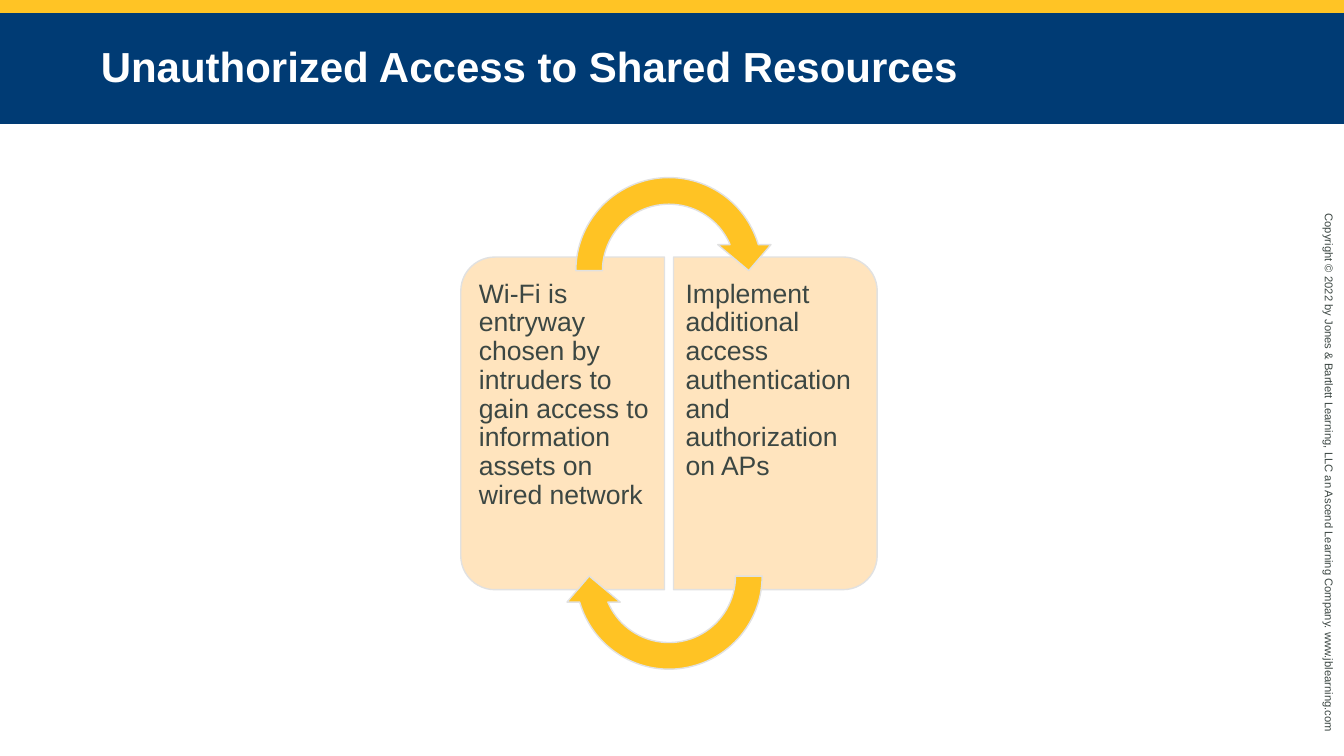
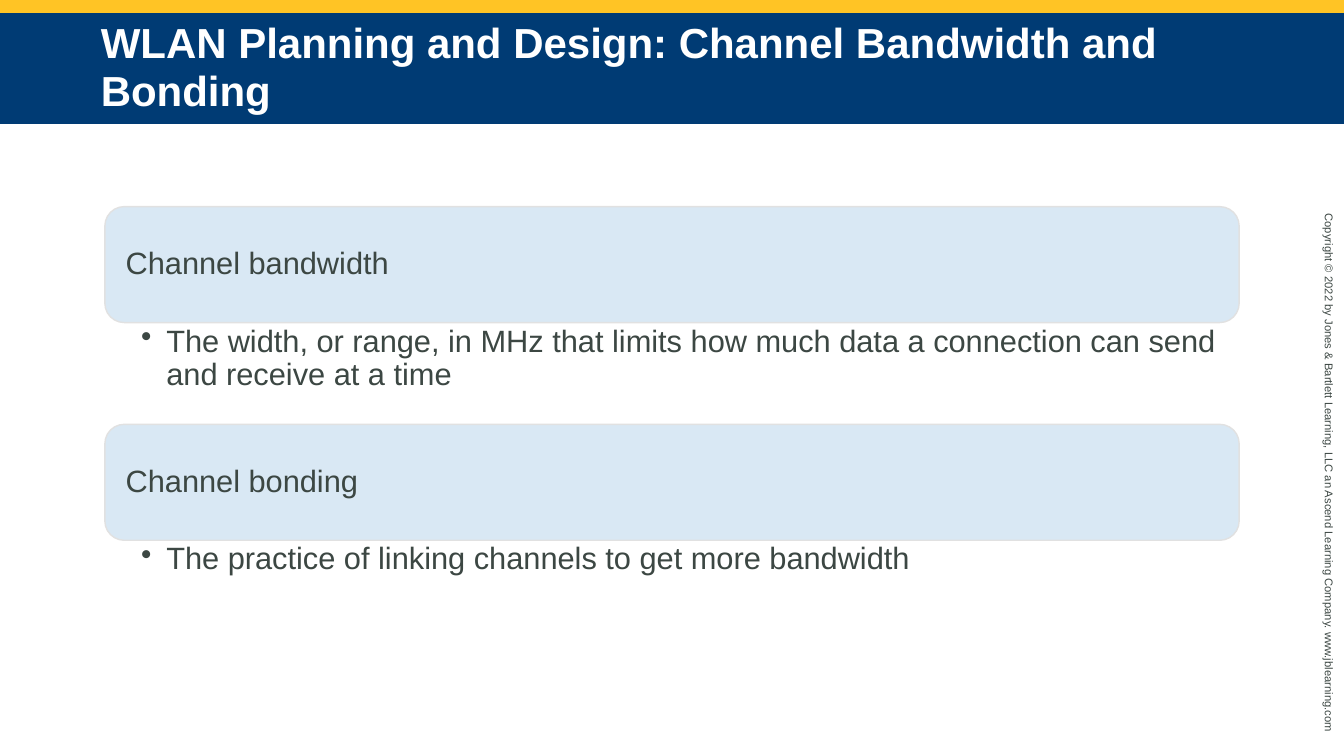
from dataclasses import dataclass

from lxml import etree
from pptx import Presentation
from pptx.dml.color import RGBColor
from pptx.enum.shapes import MSO_SHAPE
from pptx.enum.text import MSO_ANCHOR, PP_ALIGN
from pptx.oxml.ns import qn
from pptx.shapes.autoshape import Shape
from pptx.slide import Slide
from pptx.util import Inches, Pt

# Shared style
FONT = "Arial"
INK, WHITE, NAVY = "3C4743", "FFFFFF", "003B74"
BAND, ARROW = "FFC425", "FFC324"
PEACH, PALE_BLUE, EDGE = "FFE4BE", "D9E8F4", "E1E1E1"
SLIDE_W, SLIDE_H = 13.33, 7.5
COPYRIGHT = ("Copyright © 2022 by Jones & Bartlett Learning, LLC an Ascend "
             "Learning Company. www.jblearning.com")


@dataclass(frozen=True)
class Box:
    left: float
    top: float
    width: float
    height: float

    def lengths(self) -> tuple:
        return tuple(Inches(v) for v in (self.left, self.top, self.width, self.height))


@dataclass(frozen=True)
class TextStyle:
    size: float
    color: str = INK
    bold: bool = False
    spacing: float = 0.9
    insets: tuple = (0.1, 0.05, 0.1, 0.05)  # left, top, right, bottom
    anchor: MSO_ANCHOR = MSO_ANCHOR.TOP
    bullet: bool = False


@dataclass(frozen=True)
class Panel:
    text: str
    left: float
    text_left: float
    rotation: int
    insets: tuple


@dataclass(frozen=True)
class Topic:
    name: str
    detail: str


TITLE = TextStyle(30, WHITE, True, 0.95, (1, 0.05, 1, 0.05), MSO_ANCHOR.MIDDLE)
FOOTER = TextStyle(8, spacing=1)
CARD = TextStyle(22, insets=(0.15, 0.15, 0.15, 0.15), anchor=MSO_ANCHOR.MIDDLE)
DETAIL = TextStyle(22, insets=(0.36, 0.03, 0.17, 0.03), bullet=True)


def rgb(color: str) -> RGBColor:
    return RGBColor.from_string(color)


def add_bullet(p, indent: float) -> None:
    pPr = p._p.get_or_add_pPr()
    pPr.set("marL", str(Inches(indent)))
    pPr.set("indent", str(-Inches(indent)))
    etree.SubElement(pPr, qn("a:buChar")).set("char", "•")


def write(sp: Shape, text: str, style: TextStyle) -> None:
    tf = sp.text_frame
    tf.word_wrap = True
    tf.vertical_anchor = style.anchor
    tf.margin_left, tf.margin_top, tf.margin_right, tf.margin_bottom = map(Inches, style.insets)
    p = tf.paragraphs[0]
    p.text = text
    p.alignment = PP_ALIGN.LEFT
    if style.bullet:
        add_bullet(p, 0.25)
    p.line_spacing = style.spacing
    font = p.runs[0].font
    font.name, font.size, font.bold = FONT, Pt(style.size), style.bold
    font.color.rgb = rgb(style.color)


def add_shape(s: Slide, kind: MSO_SHAPE, box: Box, fill: str, line: str = "",
              rotation: float = 0) -> Shape:
    sp = s.shapes.add_shape(kind, *box.lengths())
    sp.shadow.inherit = False
    sp.rotation = rotation
    sp.fill.solid()
    sp.fill.fore_color.rgb = rgb(fill)
    if line:
        sp.line.color.rgb = rgb(line)
        sp.line.width = Pt(1)
    else:
        sp.line.fill.background()
    return sp


def add_text(s: Slide, box: Box, text: str, style: TextStyle) -> Shape:
    sp = s.shapes.add_textbox(*box.lengths())
    write(sp, text, style)
    return sp


def add_slide(prs, title: str) -> Slide:
    """Add a slide with the top band, copyright line and title bar."""
    s = prs.slides.add_slide(prs.slide_layouts[6])
    add_shape(s, MSO_SHAPE.RECTANGLE, Box(0, 0, SLIDE_W, 0.13), BAND)
    add_text(s, Box(10.44, 4.64, 5.48, 0.24), COPYRIGHT, FOOTER).rotation = 90
    bar = add_shape(s, MSO_SHAPE.RECTANGLE, Box(0, 0.13, SLIDE_W, 1.1), NAVY)
    write(bar, title, TITLE)
    return s


def add_cycle(s: Slide, panels: list[Panel]) -> None:
    """Two facing panels joined by a pair of circular arrows."""
    width, height, mid_y = 2.02, 3.3, 4.2
    for panel in panels:
        # Quarter-turned shape: its box is wide, centred on the panel
        box = Box(panel.left + (width - height) / 2, mid_y - width / 2, height, width)
        sp = add_shape(s, MSO_SHAPE.ROUND_2_SAME_RECTANGLE, box, PEACH, EDGE, panel.rotation)
        sp.adjustments[0], sp.adjustments[1] = 0.167, 0
        add_text(s, Box(panel.text_left, 2.65, 1.92, 3.11), panel.text,
                 TextStyle(19, insets=panel.insets))

    size = 2.11
    for top, rotation in ((1.63, 0), (4.66, 180)):
        sp = add_shape(s, MSO_SHAPE.CIRCULAR_ARROW, Box(5.58, top, size, size),
                       ARROW, EDGE, rotation)
        for i, value in enumerate((0.125, 11.42, 204.58, 108, 0.125)):
            sp.adjustments[i] = value


def add_topics(s: Slide, topics: list[Topic]) -> None:
    """Stacked cards, each followed by its bulleted detail."""
    left, top, width, card_h, detail_h = 1.04, 2.05, 11.25, 1.15, 1.01
    for i, topic in enumerate(topics):
        y = top + i * (card_h + detail_h)
        card = add_shape(s, MSO_SHAPE.ROUNDED_RECTANGLE, Box(left, y, width, card_h),
                         PALE_BLUE, EDGE)
        write(card, topic.name, CARD)
        add_text(s, Box(left, y + card_h, width, detail_h), topic.detail, DETAIL)


def main() -> None:
    prs = Presentation()
    prs.slide_width, prs.slide_height = Inches(SLIDE_W), Inches(SLIDE_H)

    # Slide 1
    s = add_slide(prs, "Unauthorized Access to Shared Resources")
    add_cycle(s, [
        Panel("Wi-Fi is entryway chosen by intruders to gain access to information "
              "assets on wired network", 4.57, 4.67, 270, (0.08, 0.13, 0.12, 0.13)),
        Panel("Implement additional access authentication and authorization on APs",
              6.68, 6.68, 90, (0.12, 0.13, 0.08, 0.13)),
    ])

    # Slide 2
    s = add_slide(prs, "WLAN Planning and Design: Channel Bandwidth and Bonding")
    add_topics(s, [
        Topic("Channel bandwidth", "The width, or range, in MHz that limits how much "
              "data a connection can send and receive at a time"),
        Topic("Channel bonding", "The practice of linking channels to get more bandwidth"),
    ])

    prs.save("out.pptx")


if __name__ == "__main__":
    main()
